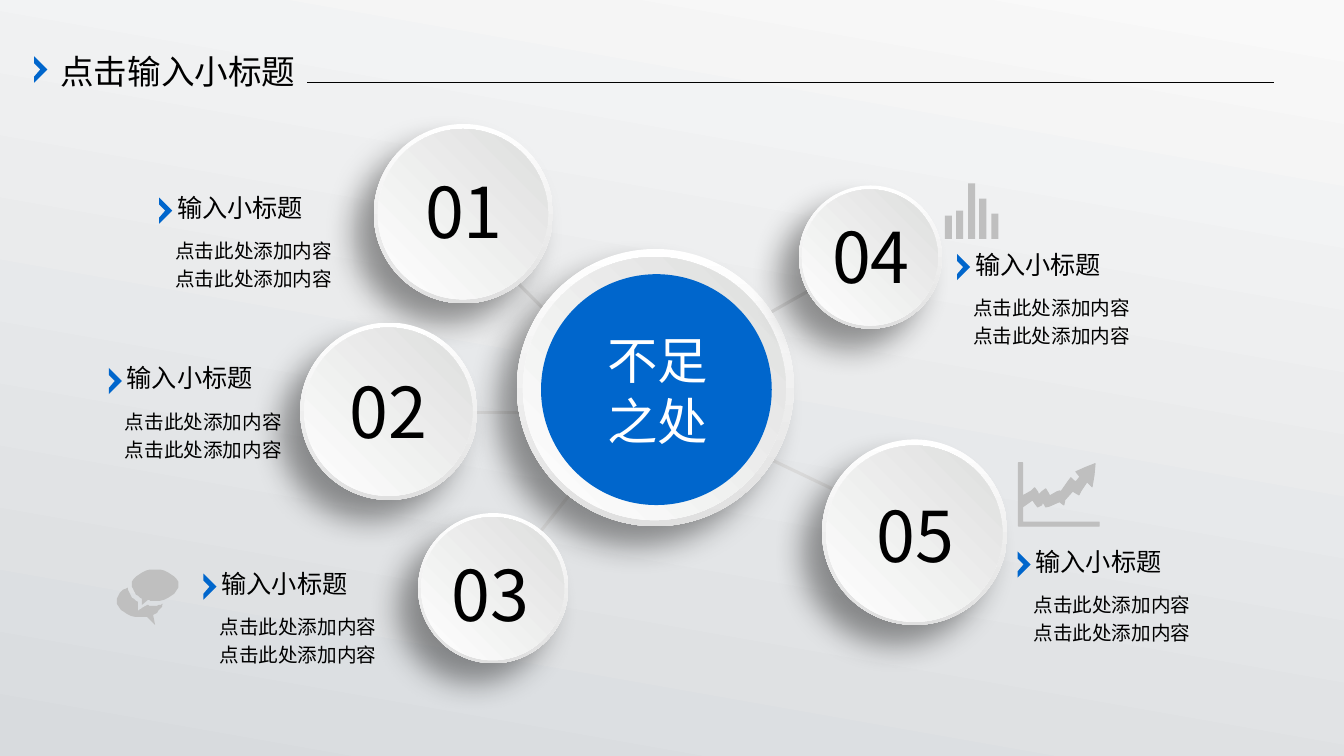
from lxml.etree import SubElement
from pptx import Presentation
from pptx.dml.color import RGBColor
from pptx.enum.shapes import MSO_CONNECTOR, MSO_SHAPE
from pptx.enum.text import MSO_AUTO_SIZE, PP_ALIGN
from pptx.oxml.ns import qn
from pptx.util import Pt

PX = 9144  # EMU per px, 100 px to the inch
FONT = "Noto Sans CJK SC"
BLACK = RGBColor(0x00, 0x00, 0x00)
WHITE = RGBColor(0xFF, 0xFF, 0xFF)
BLUE = RGBColor(0x00, 0x66, 0xCC)
ICON = RGBColor(0xBF, 0xBF, 0xBF)
SPOKE = RGBColor(0xD9, 0xD9, 0xD9)
RIM = RGBColor(0xE0, 0xE0, 0xE0)
FACE = RGBColor(0xDD, 0xDE, 0xDD)
DARK = RGBColor(0xD8, 0xDB, 0xDE)
LIGHT = RGBColor(0xF9, 0xF9, 0xF9)

HEAD = "点击输入小标题"
HUB = ["不足", "之处"]
SUB = "输入小标题"
BODY = ["点击此处添加内容", "点击此处添加内容"]

# label, disc (left, top, size), number (left, top), note arrow (left, top)
ITEMS = [
    ("01", (371, 123, 178), (409, 162), (158, 196)),
    ("02", (298, 320, 176), (334, 361), (108, 365)),
    ("03", (415, 509, 149), (435, 542), (202, 569)),
    ("04", (793, 184, 142), (813, 207), (950, 252)),
    ("05", (816, 436, 184), (857, 484), (1010, 547)),
]
SPOKES = [
    (816, 281, 655, 372), (864, 503, 736, 442), (604, 442, 513, 557),
    (569, 409, 469, 409), (569, 336, 487, 254),
]
BARS = [23, 28, 55, 40, 25]
ARROW = [(6, 13), (0, 20), (0, 26), (13, 13), (0, 0), (0, 7)]
TREND = [
    (1015, 518), (1091, 518), (1091, 522), (1011, 522), (1011, 459),
    (1015, 459), (1015, 492), (1024, 487), (1027, 484), (1030, 488),
    (1031, 491), (1034, 488), (1038, 485), (1041, 490), (1042, 492),
    (1049, 488), (1052, 487), (1053, 488), (1060, 478), (1063, 474),
    (1066, 477), (1068, 478), (1072, 473), (1068, 468), (1077, 464),
    (1087, 460), (1086, 471), (1084, 483), (1079, 478), (1073, 487),
    (1071, 491), (1066, 488), (1065, 487), (1057, 496), (1056, 501),
    (1052, 498), (1051, 498), (1042, 502), (1038, 503), (1037, 501),
    (1035, 498), (1034, 501), (1030, 503), (1027, 499), (1025, 496),
    (1015, 503),
]
# Two numbers are a corner; six are a curve with two handles and an end.
BUBBLES = [
    [(146, 600), (145, 601, 137, 606, 137, 606),
     (137, 606, 137, 599, 137, 597), (131, 594, 127, 588, 127, 583),
     (120, 585, 116, 591, 116, 596), (116, 605, 126, 612, 139, 612),
     (142, 612, 144, 612, 146, 612), (154, 620), (152, 610),
     (157, 607, 161, 603, 162, 599), (159, 600, 156, 601, 153, 601),
     (150, 601, 148, 601, 146, 600)],
    [(154, 565), (141, 565, 131, 572, 131, 580),
     (131, 585, 135, 591, 141, 594), (141, 600), (147, 595),
     (149, 596, 152, 596, 154, 596), (167, 596, 177, 589, 177, 580),
     (177, 572, 167, 565, 154, 565)],
]

deck = Presentation()
deck.slide_width, deck.slide_height = 1334 * PX, 750 * PX
slide = deck.slides.add_slide(deck.slide_layouts[6])
shapes = slide.shapes


def blend(fill, start, end, turn):
    """Gradient whose angle runs counter-clockwise."""
    fill.gradient()
    fill.gradient_angle = turn
    for stop, color in zip(fill.gradient_stops, (start, end)):
        stop.color.rgb = color


def paint(shape, color):
    shape.shadow.inherit = False
    shape.line.fill.background()
    shape.fill.solid()
    shape.fill.fore_color.rgb = color
    return shape


def block(kind, *box, color=WHITE):
    return paint(shapes.add_shape(kind, *(n * PX for n in box)), color)


def write(lines, box, size, color=BLACK, align=PP_ALIGN.LEFT, wrap=True,
          space=None):
    frame = shapes.add_textbox(*(n * PX for n in box)).text_frame
    frame.word_wrap = wrap
    frame.auto_size = MSO_AUTO_SIZE.SHAPE_TO_FIT_TEXT
    for i, line in enumerate(lines):
        para = frame.add_paragraph() if i else frame.paragraphs[0]
        para.alignment = align
        if space:
            para.line_spacing = Pt(space)
        run = para.add_run()
        run.text = line
        run.font.size, run.font.name = Pt(size), FONT
        run.font.color.rgb = color
        SubElement(run.font._element, qn("a:ea"), typeface=FONT)


def rule(ends, color, width):
    line = shapes.add_connector(MSO_CONNECTOR.STRAIGHT, *(n * PX for n in ends))
    line.line.color.rgb, line.line.width = color, Pt(width)
    SubElement(line._element.spPr, qn("a:effectLst"))


def outline(loops, color):
    pen = shapes.build_freeform(*loops[0][0], scale=PX)
    for i, loop in enumerate(loops):
        if i:
            pen.move_to(*loop[0])
        pen.add_line_segments(loop[1:], close=True)
    return paint(pen.convert_to_shape(), color)


def flatten(loop, steps=8):
    """Turn the curves of a loop into short straight steps."""
    points = [loop[0]]
    for part in loop[1:]:
        if len(part) == 2:
            points.append(part)
            continue
        knots = [points[-1], part[:2], part[2:4], part[4:]]
        for i in range(1, steps + 1):
            t = i / steps
            mix = ((1 - t) ** 3, 3 * t * (1 - t) ** 2, 3 * t * t * (1 - t), t ** 3)
            points.append(tuple(sum(m * k[a] for m, k in zip(mix, knots))
                                for a in (0, 1)))
    return points


def arrow(x, y):
    outline([[(x + dx, y + dy) for dx, dy in ARROW]], BLUE)


def disc(x, y, size):
    """Raised disc: a shadowed rim with a slightly smaller face."""
    rim = block(MSO_SHAPE.OVAL, x, y, size, size)
    blend(rim.fill, WHITE, RIM, 270)
    glow = SubElement(rim._element.spPr.find(qn("a:effectLst")),
                      qn("a:outerShdw"), blurRad=str(Pt(22)), dist=str(Pt(20)),
                      dir=str(135 * 60000), algn="ctr", rotWithShape="0")
    tint = SubElement(glow, qn("a:srgbClr"), val=str(BLACK))
    SubElement(tint, qn("a:alpha"), val="40000")
    inner = round(size * 0.95)
    face = block(MSO_SHAPE.OVAL, x + round(size * 0.02),
                 y + round(size * 0.03), inner, inner)
    blend(face.fill, WHITE, FACE, 45)


def note(x, y):
    write(BODY, (x + 6, y + 32, 178, 66), 14, space=20)
    arrow(x, y)
    write([SUB], (x + 8, y - 10, 153, 40), 18)


blend(slide.background.fill, DARK, LIGHT, 80)
arrow(34, 56)
write([HEAD], (50, 46, 271, 50), 24)
rule((305, 82, 1265, 82), BLACK, 0.75)

for ends in SPOKES:
    rule(ends, SPOKE, 2.25)

trend = outline([TREND], ICON)
trend.line.color.rgb, trend.line.width = ICON, Pt(0.75)
for i, tall in enumerate(BARS):
    block(MSO_SHAPE.RECTANGLE, 938 + 23 * i // 2, 237 - tall, 7, tall, color=ICON)
outline([flatten(loop) for loop in BUBBLES], ICON)

disc(513, 247, 275)
block(MSO_SHAPE.OVAL, 537, 272, 229, 229, color=BLUE)
write(HUB, (576, 322, 154, 131), 36, color=WHITE, align=PP_ALIGN.CENTER)

for label, ring, spot, tip in ITEMS:
    disc(*ring)
    write([label], (*spot, 103, 94), 50, align=PP_ALIGN.CENTER, wrap=False)
    note(*tip)

deck.save("out.pptx")
